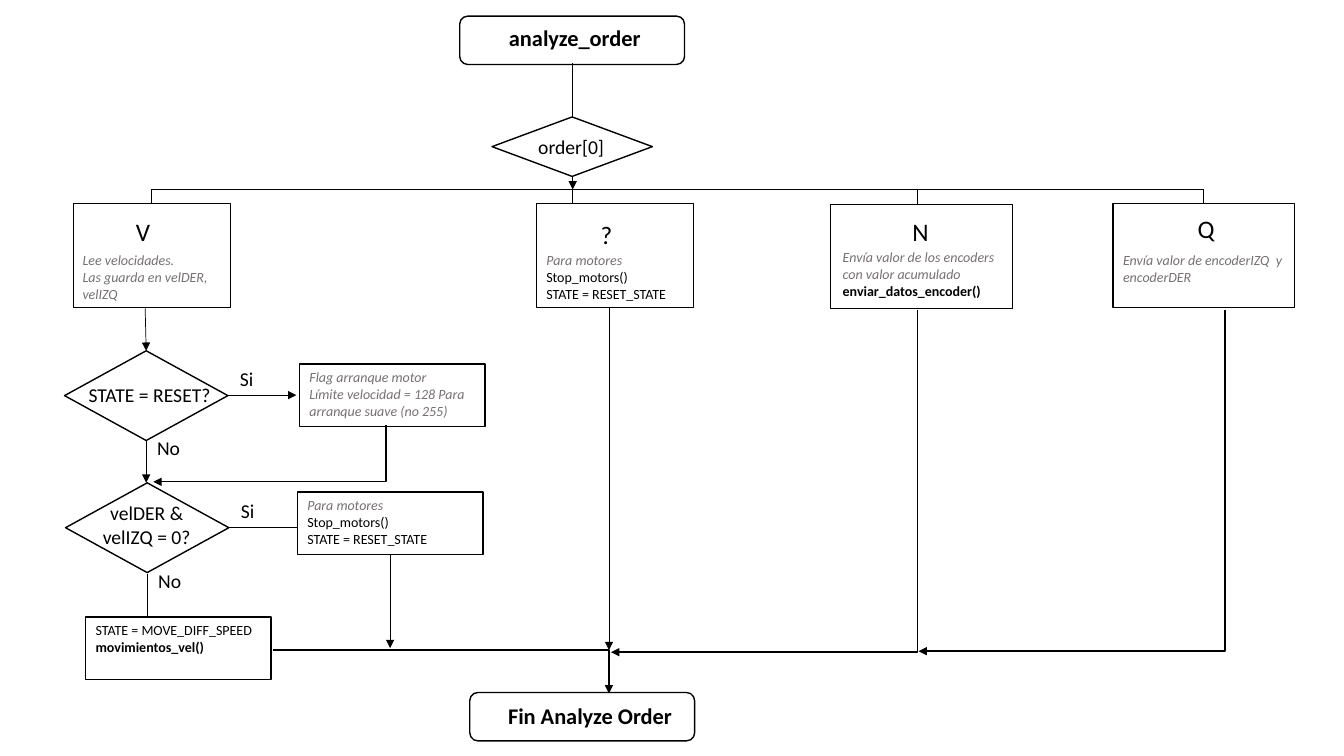
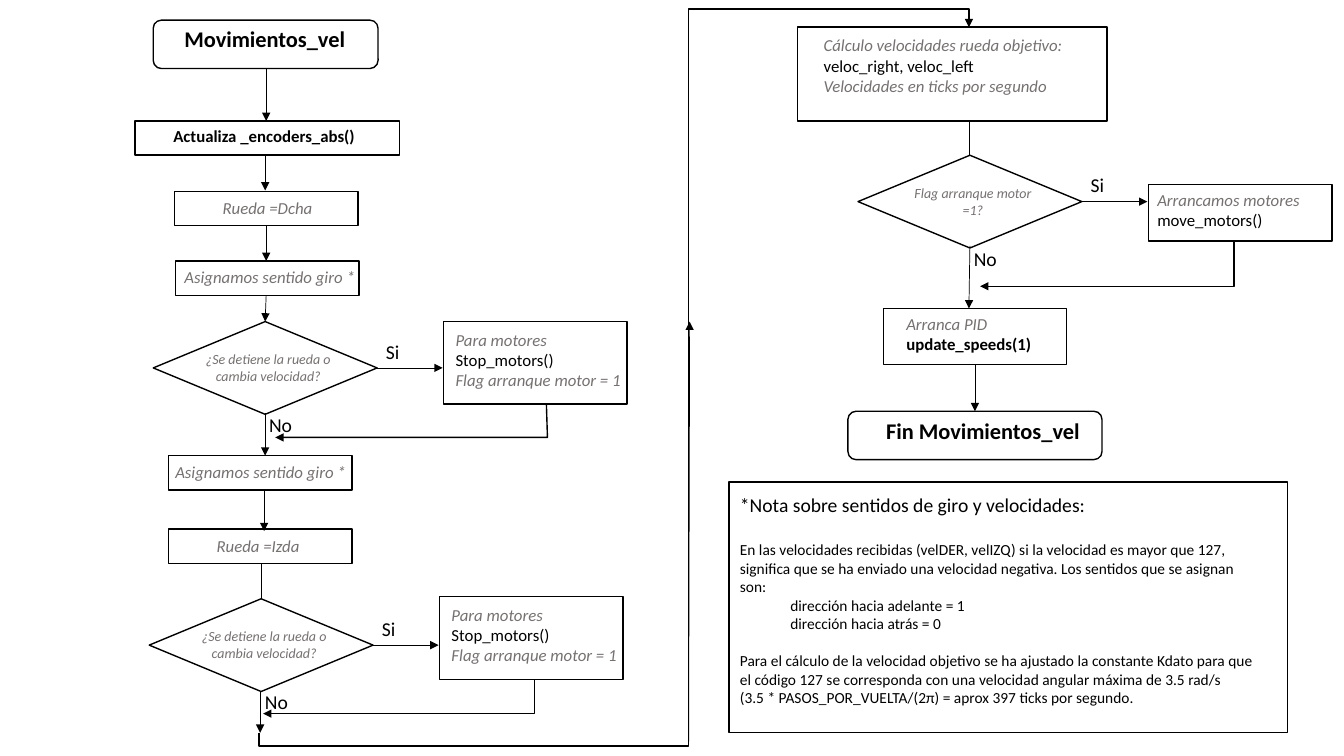
import pptx
import pptx.util
import pptx.dml.color
import pptx.enum.shapes
import pptx.enum.text
import pptx.oxml
import pptx.oxml.ns

Inches, Pt = pptx.util.Inches, pptx.util.Pt
COLORS = {"ink": "000000", "gray": "767171", "paper": "FFFFFF"}
INK = pptx.dml.color.RGBColor.from_string(COLORS["ink"])
GRAY = pptx.dml.color.RGBColor.from_string(COLORS["gray"])
AUTO = pptx.enum.shapes.MSO_SHAPE
KINDS = {"end": AUTO.ROUNDED_RECTANGLE, "if": AUTO.FLOWCHART_DECISION,
         "step": AUTO.RECTANGLE}

# Text styles: font values and paragraph values
FONTS = {
    "note": {"italic": True},
    "call": {"bold": True},
    "topic": {"size": Pt(14)},
}
PARAS = {
    "lead": {"space_before": Pt(17)},
    "last": {"space_before": Pt(13.4)},
}
STOP = [("note", "Para motores"), ("code", "Stop_motors()")]
RESET = STOP + [("code", "STATE = RESET_STATE")]
FLAG = STOP + [("note", "Flag arranque motor = 1")]
TURN = [("note", "Asignamos sentido giro *")]
WHEEL = "¿Se detiene la rueda o cambia velocidad?"

# Slide 1: boxes are kind, left, top, width, height
order = {
    "boxes": [
        ("end", 4.56, 0.16, 2.23, 0.48),
        ("if", 4.88, 1.16, 1.59, 0.59),
        ("step", 0.73, 2.02, 1.56, 1.03),
        ("step", 5.32, 2.02, 1.56, 1.03),
        ("step", 8.24, 2.03, 1.8, 1.03),
        ("step", 11.04, 2.02, 1.8, 1.03),
        ("step", 2.97, 3.61, 1.84, 0.62),
        ("step", 2.95, 4.88, 1.84, 0.62),
        ("step", 0.85, 6.12, 1.84, 0.62),
        ("end", 4.66, 6.87, 2.23, 0.48),
    ],
    # left, top, width, height, size, mode, paragraphs
    "texts": [
        (4.95, 0.19, 1.53, 0.37, 16, "fit", [("call", "analyze_order")]),
        (5.24, 1.29, 0.86, 0.34, 14, "fit", [("code", "order[0]")]),
        (1.25, 2.1, 0.35, 0.4, 18, "fit", [("code", "V")]),
        (5.86, 2.13, 0.32, 0.4, 18, "fit", [("code", "?")]),
        (8.95, 2.1, 0.36, 0.4, 18, "fit", [("code", "N")]),
        (11.78, 2.07, 0.37, 0.4, 18, "fit", [("code", "Q")]),
        (0.72, 2.45, 1.45, 0.61, 10, "wrap", [
            ("note", "Lee velocidades."),
            ("note", "Las guarda en velDER, velIZQ")]),
        (5.32, 2.45, 1.91, 0.61, 10, "wrap", RESET),
        (8.26, 2.42, 1.91, 0.61, 10, "wrap", [
            ("note", "Envía valor de los encoders"),
            ("note", "con valor acumulado"),
            ("call", "enviar_datos_encoder()")]),
        (11.04, 2.45, 1.91, 0.44, 10, "wrap", [
            ("note", "Envía valor de encoderIZQ  y encoderDER")]),
        (0.78, 3.75, 1.42, 0.34, 14, "fit", [("code", "STATE = RESET?")]),
        (0.85, 4.92, 1.21, 0.57, 14, "mid", [("code", "velDER & velIZQ = 0?")]),
        (2.97, 3.61, 1.91, 0.61, 10, "wrap", [
            ("note", "Flag arranque motor"),
            ("note", "Límite velocidad = 128 Para arranque suave (no 255)")]),
        (2.95, 4.88, 1.91, 0.61, 10, "wrap", RESET),
        (0.85, 6.12, 1.91, 0.61, 10, "wrap", [
            ("code", "STATE = MOVE_DIFF_SPEED"),
            ("call", "movimientos_vel()")]),
        (4.94, 6.92, 1.85, 0.37, 16, "fit", [("call", "Fin Analyze Order")]),
    ],
    # arrow at the last point, then the points
    "links": [
        (False, [(5.68, 0.63), (5.68, 1.16)]),
        (True, [(5.68, 1.75), (5.68, 1.88)]),
        (False, [(1.5, 1.88), (11.94, 1.88)]),
        (True, [(1.44, 3.06), (1.45, 3.48)]),
        (True, [(1.45, 4.37), (1.45, 4.79)]),
        (False, [(1.46, 5.69), (1.46, 6.11)]),
        (True, [(3.83, 4.22), (3.83, 4.78), (1.52, 4.78)]),
        (True, [(3.87, 5.51), (3.87, 6.43)]),
        (True, [(2.71, 6.45), (6.04, 6.45), (6.04, 6.88)]),
        (True, [(6.04, 3.06), (6.04, 6.45)]),
        (True, [(9.1, 3.08), (9.1, 6.47), (6.06, 6.47)]),
        (True, [(12.15, 3.08), (12.15, 6.46), (9.11, 6.46)]),
    ],
}
for x in (1.5, 5.68, 9.1, 11.94):
    order["links"].append((False, [(x, 1.88), (x, 2.02)]))
for x, y, arrow in ((0.64, 3.48, True), (0.65, 4.79, False)):
    order["boxes"].append(("if", x, y, 1.62, 0.89))
    order["links"].append((arrow, [(x + 1.62, y + 0.44), (x + 2.3, y + 0.44)]))
    order["texts"] += [
        (x + 1.64, y + 0.11, 0.34, 0.34, 14, "fit", [("code", "Si")]),
        (x + 0.82, y + 0.8, 0.43, 0.34, 14, "fit", [("code", "No")])]

# Slide 2
moves = {
    "boxes": [
        ("end", 1.52, 0.2, 2.23, 0.48),
        ("step", 1.34, 1.2, 2.62, 0.34),
        ("step", 1.73, 1.9, 1.82, 0.34),
        ("step", 1.74, 2.59, 1.82, 0.34),
        ("step", 1.67, 4.52, 1.82, 0.34),
        ("step", 1.67, 5.25, 1.82, 0.34),
        ("step", 7.91, 0.27, 3.07, 0.93),
        ("step", 11.39, 1.83, 1.82, 0.56),
        ("step", 8.76, 3.06, 1.82, 0.56),
        ("end", 8.41, 4.08, 2.52, 0.48),
        ("step", 7.23, 4.78, 5.54, 2.49),
    ],
    "texts": [
        (1.73, 0.2, 1.82, 0.37, 16, "fit", [("call", "Movimientos_vel")]),
        (1.62, 1.2, 2.02, 0.3, 12, "fit", [("call", "Actualiza _encoders_abs()")]),
        (2.11, 1.91, 1.1, 0.3, 12, "fit", [("note", "Rueda =Dcha")]),
        (1.73, 2.6, 1.91, 0.3, 12, "fit", TURN),
        (1.64, 4.53, 1.91, 0.3, 12, "fit", TURN),
        (2.05, 5.27, 1.03, 0.3, 12, "fit", [("note", "Rueda =Izda")]),
        (8.07, 0.3, 2.59, 0.71, 12, "fit", [
            ("note", "Cálculo velocidades rueda objetivo:"),
            ("code", "veloc_right, veloc_left"),
            ("note", "Velocidades en ticks por segundo")]),
        (11.38, 1.83, 1.63, 0.5, 12, "fit", [
            ("note", "Arrancamos motores"), ("code", "move_motors()")]),
        (8.89, 3.06, 1.45, 0.5, 12, "fit", [
            ("note", "Arranca PID"), ("call", "update_speeds(1)")]),
        (8.69, 4.09, 2.15, 0.37, 16, "fit", [("call", "Fin Movimientos_vel")]),
        (7.24, 4.84, 5.4, 2.05, 11, "wrap", [
            ("topic", "*Nota sobre sentidos de giro y velocidades:"),
            ("lead", "En las velocidades recibidas (velDER, velIZQ) si la "
             "velocidad es mayor que 127, significa que se ha enviado una "
             "velocidad negativa. Los sentidos que se asignan son:"),
            ("item", "dirección hacia adelante = 1"),
            ("item", "dirección hacia atrás = 0"),
            ("last", "Para el cálculo de la velocidad objetivo se ha ajustado "
             "la constante Kdato para que el código 127 se corresponda con "
             "una velocidad angular máxima de 3.5 rad/s"),
            ("code", "(3.5 * PASOS_POR_VUELTA/(2π) = aprox 397 ticks por segundo.")]),
    ],
    "links": [
        (True, [(2.64, 0.68), (2.64, 1.2)]),
        (True, [(2.63, 1.54), (2.63, 1.89)]),
        (True, [(2.64, 2.23), (2.64, 2.59)]),
        (True, [(2.64, 2.93), (2.63, 3.19)]),
        (True, [(2.63, 4.1), (2.63, 4.52)]),
        (True, [(2.62, 4.86), (2.62, 5.27)]),
        (False, [(2.59, 5.59), (2.59, 5.94)]),
        (True, [(2.58, 6.86), (2.58, 7.27)]),
        (True, [(2.57, 7.27), (2.57, 7.4), (6.83, 7.4), (6.83, 0.09),
                (9.61, 0.09), (9.61, 0.27)]),
        (True, [(6.83, 7.4), (6.84, 3.19)]),
        (False, [(9.61, 1.2), (9.61, 1.54)]),
        (True, [(9.62, 2.44), (9.61, 3.06)]),
        (True, [(12.24, 2.4), (12.24, 2.84), (9.72, 2.84)]),
        (True, [(9.67, 3.62), (9.67, 4.08)]),
        (True, [(5.42, 4.01), (5.43, 4.34), (2.73, 4.34)]),
        (True, [(5.3, 6.75), (5.3, 7.08), (2.61, 7.08)]),
    ],
}
for x, y, ask in ((1.52, 3.19, WHEEL), (1.48, 5.94, WHEEL),
                  (8.51, 1.54, "Flag arranque motor =1?")):
    moves["boxes"].append(("if", x, y, 2.22, 0.92))
    moves["links"].append((True, [(x + 2.2, y + 0.46), (x + 2.87, y + 0.46)]))
    moves["texts"] += [
        (x + 0.42, y + 0.24, 1.44, 0.44, 10, "mid", [("note", ask)]),
        (x + 2.21, y + 0.13, 0.34, 0.34, 14, "fit", [("code", "Si")]),
        (x + 1.05, y + 0.86, 0.43, 0.34, 14, "fit", [("code", "No")])]
for x, y in ((4.4, 3.19), (4.36, 5.92)):
    moves["boxes"].append(("step", x, y, 1.82, 0.82))
    moves["texts"].append((x + 0.02, y + 0.03, 1.86, 0.71, 12, "fit", FLAG))

# Draw both slides
deck = pptx.Presentation()
deck.slide_width, deck.slide_height = Inches(13.33), Inches(7.5)
for flow in (order, moves):
    slide = deck.slides.add_slide(deck.slide_layouts[6])
    slide.background.fill.solid()
    slide.background.fill.fore_color.rgb = (
        pptx.dml.color.RGBColor.from_string(COLORS["paper"]))

    # Boxes
    for kind, *place in flow["boxes"]:
        box = slide.shapes.add_shape(KINDS[kind], *map(Inches, place))
        box.shadow.inherit = False
        box.fill.background()
        box.line.color.rgb = INK
        box.line.width = Pt(1)

    # Straight and bent lines
    for arrow, points in flow["links"]:
        ends = [(Inches(x), Inches(y)) for x, y in points]
        if len(ends) == 2:
            link = slide.shapes.add_connector(
                pptx.enum.shapes.MSO_CONNECTOR.STRAIGHT, *ends[0], *ends[1])
            link.line.width = Pt(0.5)
        else:
            pen = slide.shapes.build_freeform(*ends[0])
            pen.add_line_segments(ends[1:], close=False)
            link = pen.convert_to_shape()
            link.fill.background()
            link.line.width = Pt(1)
        link.line.color.rgb = INK
        if arrow:
            tip = pptx.oxml.parse_xml(
                '<a:tailEnd %s type="triangle"/>' % pptx.oxml.ns.nsdecls("a"))
            link.line._get_or_add_ln().append(tip)
        link._element.spPr.append(pptx.oxml.parse_xml(
            "<a:effectLst %s/>" % pptx.oxml.ns.nsdecls("a")))

    # Texts
    for *place, size, mode, lines in flow["texts"]:
        frame = slide.shapes.add_textbox(*map(Inches, place)).text_frame
        frame.word_wrap = mode != "fit"
        frame.auto_size = pptx.enum.text.MSO_AUTO_SIZE.SHAPE_TO_FIT_TEXT
        for n, (style, words) in enumerate(lines):
            para = frame.add_paragraph() if n else frame.paragraphs[0]
            if mode == "mid":
                para.alignment = pptx.enum.text.PP_ALIGN.CENTER
            if style == "item":
                para._p.get_or_add_pPr().set("marL", str(Inches(0.5)))
            for key, val in PARAS.get(style, {}).items():
                setattr(para, key, val)
            run = para.add_run()
            run.text = words
            look = {"name": "Calibri", "size": Pt(size), **FONTS.get(style, {})}
            for key, val in look.items():
                setattr(run.font, key, val)
            run.font.color.rgb = GRAY if style == "note" else INK

deck.save("out.pptx")
